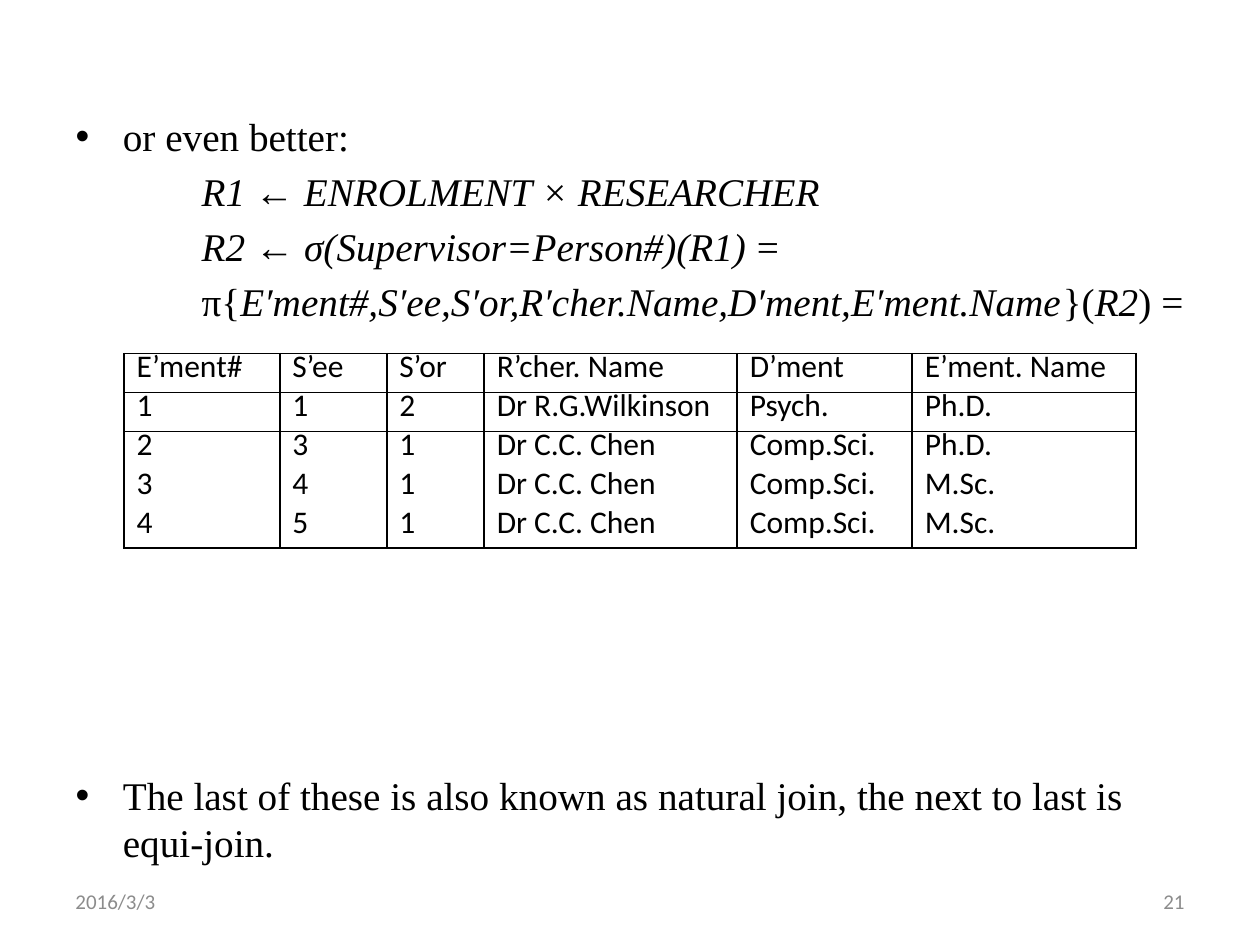
from pptx import Presentation
from pptx.dml.color import RGBColor
from pptx.enum.text import MSO_ANCHOR, MSO_AUTO_SIZE, PP_ALIGN
from pptx.oxml import parse_xml
from pptx.oxml.ns import nsdecls
from pptx.util import Pt

MIDDLE, TOP = MSO_ANCHOR.MIDDLE, MSO_ANCHOR.TOP
LEFT, RIGHT = PP_ALIGN.LEFT, PP_ALIGN.RIGHT
NO_FIT = MSO_AUTO_SIZE.NONE

COLORS = {"text": "000000", "border": "000000", "footer": "8C8C8C"}
BODY_FONT = {"name": "Times New Roman", "size": Pt(22.4)}
TABLE_FONT = {"name": "Calibri", "size": Pt(18)}
FOOTER_FONT = {"name": "Calibri", "size": Pt(12)}

# Each paragraph: bulleted, space before, runs of (text, italic)
PARAGRAPHS = [
    (True, 4.48, [("or even better:", False)]),
    (False, 4.48, [("R1 ← ENROLMENT × RESEARCHER", True)]),
    (False, 4.48, [("R2 ", True), ("← ", False),
                   ("σ(Supervisor=Person#)(R1) ", True), ("=", False)]),
    (False, 4.48, [("π{", False),
                   ("E′ment#,S′ee,S′or,R′cher.Name,D′ment,E′ment.Name", True),
                   ("}(", False), ("R2", True), (") =", False)]),
    (True, 255, [("The last of these is also known as natural join, "
                  "the next to last is equi-join.", False)]),
]

COL_WIDTHS = [89, 61.2, 55.6, 144.6, 100, 128]
ROWS = [
    ["E’ment#", "S’ee", "S’or", "R’cher. Name", "D’ment", "E’ment. Name"],
    ["1", "1", "2", "Dr R.G.Wilkinson", "Psych.", "Ph.D."],
    ["2", "3", "1", "Dr C.C. Chen", "Comp.Sci.", "Ph.D."],
    ["3", "4", "1", "Dr C.C. Chen", "Comp.Sci.", "M.Sc."],
    ["4", "5", "1", "Dr C.C. Chen", "Comp.Sci.", "M.Sc."],
]
RULES = {0, 1, 2, len(ROWS)}  # row boundaries that carry a line


def add_run(p, text, font, color, italic=False):
    r = p.add_run()
    r.text = text
    for name, value in {**font, "italic": italic}.items():
        setattr(r.font, name, value)
    r.font.color.rgb = RGBColor.from_string(COLORS[color])


def fill_body(sp, left, top, width, height):
    sp.left, sp.top, sp.width, sp.height = map(Pt, (left, top, width, height))
    tf = sp.text_frame
    frame_format = {"auto_size": NO_FIT, "word_wrap": True,
                    "vertical_anchor": TOP, "margin_right": 0}
    for name, value in frame_format.items():
        setattr(tf, name, value)
    for i, (bulleted, before, runs) in enumerate(PARAGRAPHS):
        p = tf.add_paragraph() if i else tf.paragraphs[0]
        p.line_spacing, p.space_before = Pt(27), Pt(before)
        if not bulleted:
            pPr = p._p.get_or_add_pPr()
            pPr.set("marL", str(Pt(72)))
            pPr.set("indent", "0")
            pPr.append(parse_xml(f"<a:buNone {nsdecls('a')}/>"))
        for text, italic in runs:
            add_run(p, text, BODY_FONT, "text", italic)


def set_borders(cell, top, bottom):
    cell.fill.background()
    tcPr = cell._tc.get_or_add_tcPr()
    sides = {"L": True, "R": True, "T": top, "B": bottom}
    for i, (side, shown) in enumerate(sides.items()):
        paint = (f'<a:solidFill><a:srgbClr val="{COLORS["border"]}"/></a:solidFill>'
                 if shown else "<a:noFill/>")
        tcPr.insert(i, parse_xml(
            f'<a:ln{side} {nsdecls("a")} w="{Pt(1)}">{paint}</a:ln{side}>'))


def add_result_table(s, left, top, width, height):
    table = s.shapes.add_table(len(ROWS), len(COL_WIDTHS), Pt(left), Pt(top),
                               Pt(width), Pt(height)).table
    table.first_row = table.horz_banding = False
    for col, col_width in zip(table.columns, COL_WIDTHS):
        col.width = Pt(col_width)
    for i, values in enumerate(ROWS):
        table.rows[i].height = Pt(height / len(ROWS))
        for j, value in enumerate(values):
            cell = table.cell(i, j)
            p = cell.text_frame.paragraphs[0]
            p.line_spacing = Pt(15)
            add_run(p, value, TABLE_FONT, "text")
            set_borders(cell, i in RULES, i + 1 in RULES)


def add_footer(s, text, align, left, top, width, height):
    tf = s.shapes.add_textbox(Pt(left), Pt(top), Pt(width), Pt(height)).text_frame
    tf.word_wrap, tf.vertical_anchor = True, MIDDLE
    p = tf.paragraphs[0]
    p.alignment = align
    add_run(p, text, FOOTER_FONT, "footer")


def main():
    prs = Presentation()
    prs.slide_width, prs.slide_height = Pt(720), Pt(540)
    s = prs.slides.add_slide(prs.slide_layouts[1])
    title = s.shapes.title._element
    title.getparent().remove(title)

    # Bulleted text with the formulas
    fill_body(s.placeholders[1], 36, 60.5, 648, 422)
    # Result relation
    add_result_table(s, 70.9, 202, sum(COL_WIDTHS), 111)
    # Date and slide number
    add_footer(s, "2016/3/3", LEFT, 36, 500.5, 168, 28.75)
    add_footer(s, "21", RIGHT, 516, 500.5, 168, 28.75)
    prs.save("out.pptx")


if __name__ == "__main__":
    main()
